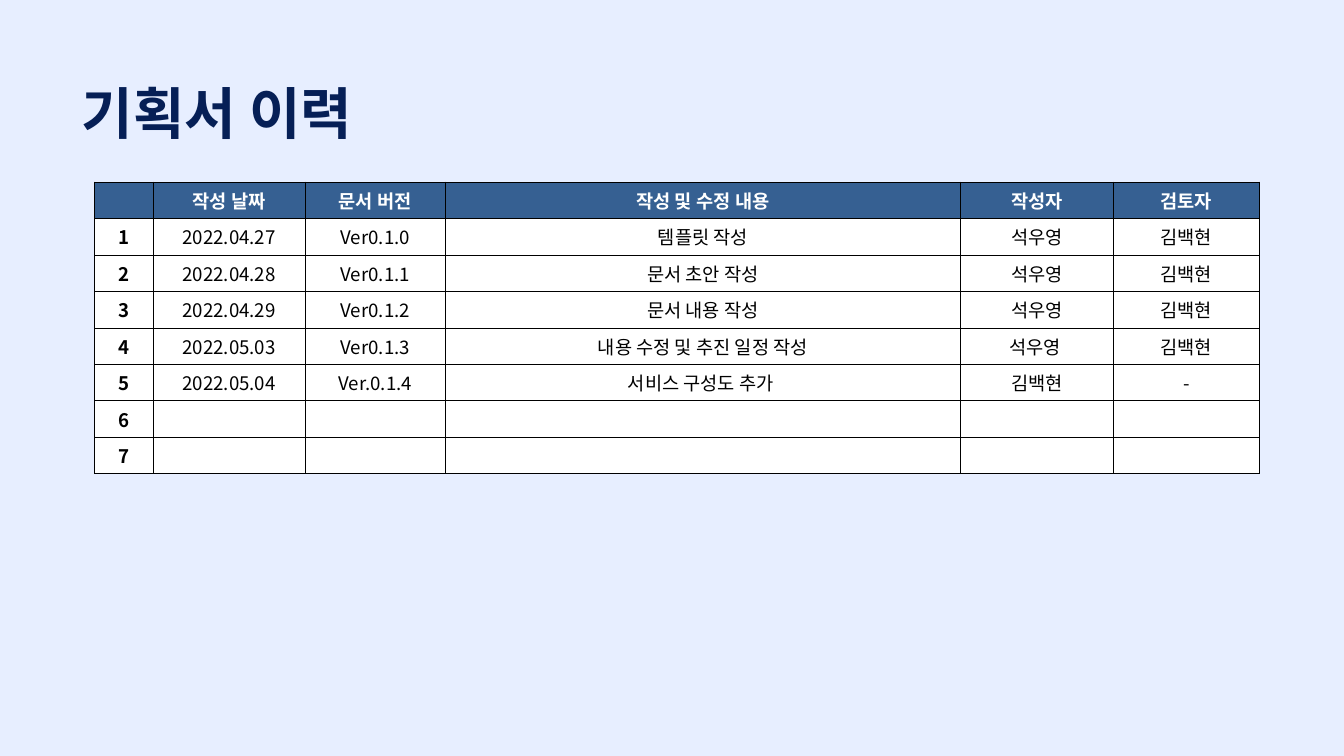
from dataclasses import dataclass

from lxml.etree import SubElement
from pptx import Presentation
from pptx.dml.color import RGBColor as Color
from pptx.enum.text import MSO_ANCHOR as Anchor, MSO_AUTO_SIZE as AutoSize, PP_ALIGN as Align
from pptx.oxml.ns import qn
from pptx.util import Cm, Pt

TITLE = "기획서 이력"
HEADERS = ["", "작성 날짜", "문서 버전", "작성 및 수정 내용", "작성자", "검토자"]
REVISIONS = [
    ("2022.04.27", "Ver0.1.0", "템플릿 작성", "석우영", "김백현"),
    ("2022.04.28", "Ver0.1.1", "문서 초안 작성", "석우영", "김백현"),
    ("2022.04.29", "Ver0.1.2", "문서 내용 작성", "석우영", "김백현"),
    ("2022.05.03", "Ver0.1.3", "내용 수정 및 추진 일정 작성", "석우영 ", "김백현"),
    ("2022.05.04", "Ver.0.1.4", "서비스 구성도 추가 ", "김백현", "-"),
    ("",) * 5,
    ("",) * 5,
]
COLUMN_WIDTHS = [2.21, 5.74, 5.31, 19.46, 5.79, 5.51]
ROW_HEIGHT = 1.38


@dataclass(frozen=True)
class Theme:
    font: str = "Noto Sans CJK KR"
    background: str = "E7EEFF"
    title: str = "061F56"
    header: str = "366092"
    light: str = "FFFFFF"
    dark: str = "000000"
    title_size: int = 60
    table_size: int = 20
    border_width: int = 1


THEME = Theme()


def write_text(frame, text, *, size, color, bold=False, align=Align.LEFT):
    paragraph = frame.paragraphs[0]
    paragraph.alignment = align
    if not text:
        return
    run = paragraph.add_run()
    run.text = text
    run.font.size = Pt(size)
    run.font.bold = bold
    run.font.color.rgb = Color.from_string(color)
    run.font.name = THEME.font
    SubElement(run.font._element, qn("a:ea"), typeface=THEME.font)


def paint(fill, color):
    fill.solid()
    fill.fore_color.rgb = Color.from_string(color)


def add_borders(cell):
    properties = cell._tc.get_or_add_tcPr()
    for index, side in enumerate(("lnL", "lnR", "lnT", "lnB")):
        line = properties.makeelement(qn(f"a:{side}"), w=str(Pt(THEME.border_width)))
        properties.insert(index, line)
        solid = SubElement(line, qn("a:solidFill"))
        SubElement(solid, qn("a:srgbClr"), val=THEME.dark)


def add_title(slide):
    box = slide.shapes.add_textbox(Cm(2.84), Cm(2.84), Cm(24.05), Cm(2.82))
    box.text_frame.word_wrap = True
    box.text_frame.auto_size = AutoSize.SHAPE_TO_FIT_TEXT
    write_text(box.text_frame, TITLE, size=THEME.title_size, color=THEME.title, bold=True)


def add_history(slide):
    rows = [HEADERS] + [(str(number), *revision) for number, revision in enumerate(REVISIONS, 1)]
    table = slide.shapes.add_table(
        len(rows), len(HEADERS), Cm(3.58), Cm(6.88),
        Cm(sum(COLUMN_WIDTHS)), Cm(ROW_HEIGHT * len(rows)),
    ).table
    for column, width in zip(table.columns, COLUMN_WIDTHS):
        column.width = Cm(width)
    for row_index, values in enumerate(rows):
        table.rows[row_index].height = Cm(ROW_HEIGHT)
        is_header = row_index == 0
        for column_index, value in enumerate(values):
            cell = table.cell(row_index, column_index)
            cell.vertical_anchor = Anchor.MIDDLE
            paint(cell.fill, THEME.header if is_header else THEME.light)
            add_borders(cell)
            write_text(
                cell.text_frame, value, size=THEME.table_size,
                color=THEME.light if is_header else THEME.dark,
                bold=is_header or column_index == 0, align=Align.CENTER,
            )


def main():
    presentation = Presentation()
    presentation.slide_width = Cm(50.8)
    presentation.slide_height = Cm(28.58)
    slide = presentation.slides.add_slide(presentation.slide_layouts[6])
    paint(slide.background.fill, THEME.background)
    add_title(slide)
    add_history(slide)
    presentation.save("out.pptx")


if __name__ == "__main__":
    main()
